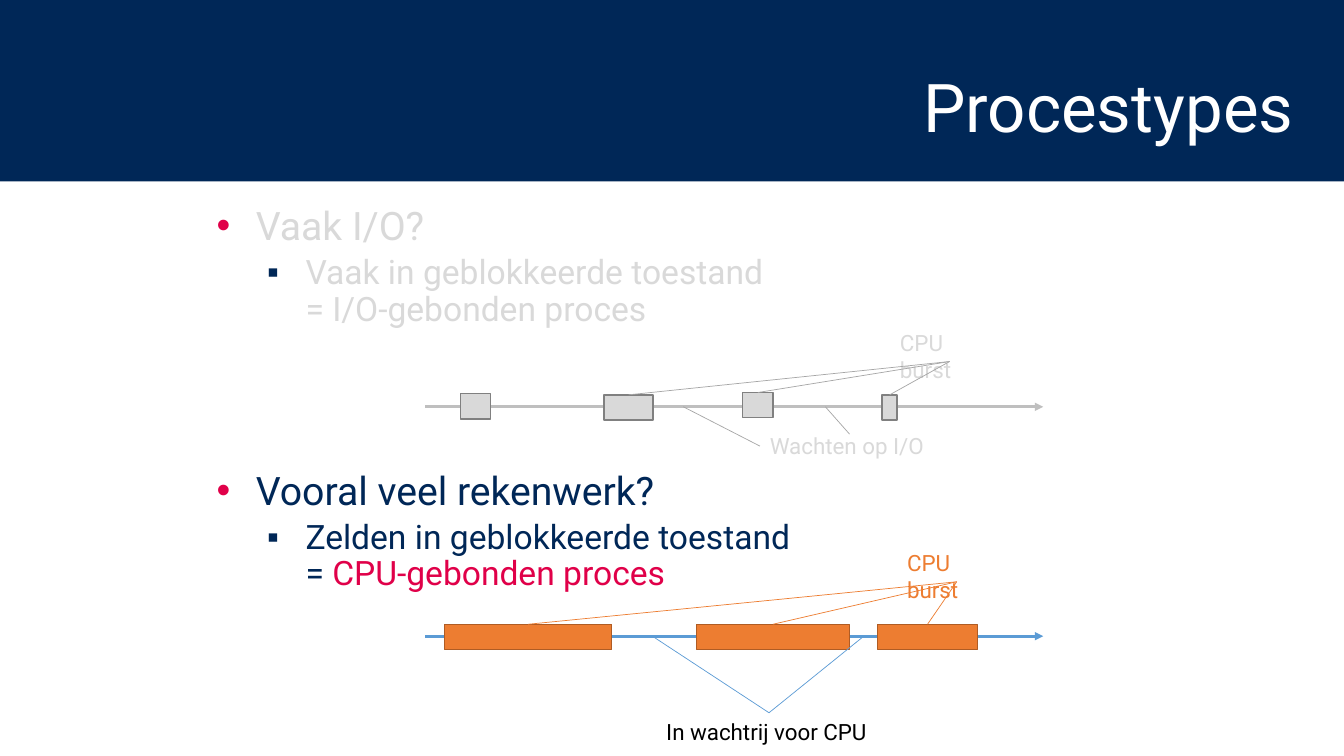
from lxml import etree
from pptx import Presentation
from pptx.dml.color import RGBColor
from pptx.enum import shapes, text
from pptx.oxml import ns
from pptx.util import Cm, Pt

FONT = "Roboto"
HUES = {
    "navy": "002757", "white": "FFFFFF", "pink": "E00049", "black": "000000",
    "pale": "D9D9D9", "axis": "BFBFBF", "edge": "808080", "thin": "A6A6A6",
    "orange": "ED7D31", "rust": "AF5C24", "blue": "5B9BD5",
}
FADED = {"axis": "axis", "bar": "pale", "edge": "edge", "burst": "pale",
         "ray": "thin", "wait": "pale", "link": "thin"}
VIVID = {"axis": "blue", "bar": "orange", "edge": "rust", "burst": "orange",
         "ray": "orange", "wait": "black", "link": "blue"}


def hue(name):
    return RGBColor.from_string(HUES[name])


def add_sub(parent, tag, **attrs):
    return etree.SubElement(parent, ns.qn(tag), attrs)


def add_bullet(para, mark, color, left, hang):
    props = para._p.get_or_add_pPr()
    props.set("marL", str(Cm(left)))
    props.set("indent", str(-Cm(hang)))
    add_sub(add_sub(props, "a:buClr"), "a:srgbClr", val=HUES[color])
    add_sub(props, "a:buFont", typeface="Arial")
    add_sub(props, "a:buChar", char=mark)


def write(para, words, size=16, color="black", align=None, spacing=None, before=None):
    """Add words to a paragraph; each newline becomes a line break."""
    if align is not None:
        para.alignment = align
    if spacing is not None:
        para.line_spacing = spacing
    if before is not None:
        para.space_before = Pt(before)
    for i, line in enumerate(words.split("\n")):
        if i:
            para.add_line_break()
        if line:
            run = para.add_run()
            run.text = line
            run.font.name, run.font.size = FONT, Pt(size)
            run.font.color.rgb = hue(color)


def add_frame(slide, box, wrap=True):
    frame = slide.shapes.add_textbox(*map(Cm, box)).text_frame
    frame.word_wrap = wrap
    return frame


def add_rect(slide, box, fill, edge=None):
    rect = slide.shapes.add_shape(shapes.MSO_SHAPE.RECTANGLE, *map(Cm, box))
    rect.shadow.inherit = False
    rect.fill.solid()
    rect.fill.fore_color.rgb = hue(fill)
    if edge:
        rect.line.color.rgb = hue(edge)
        rect.line.width = Pt(1)
    else:
        rect.line.fill.background()


def add_line(slide, start, end, color, width=0.5, arrow=False):
    line = slide.shapes.add_connector(
        shapes.MSO_CONNECTOR.STRAIGHT, *map(Cm, (*start, *end)))
    line.line.color.rgb = hue(color)
    line.line.width = Pt(width)
    if arrow:
        add_sub(line.line._get_or_add_ln(), "a:tailEnd", type="triangle")
    add_sub(line._element.spPr, "a:effectLst")


def add_header(slide, box, title):
    left, top, width, height = box
    add_rect(slide, box, "navy")
    frame = add_frame(slide, (left + 5.21, top + 1.02, width - 6.23, height - 1.02))
    frame.vertical_anchor = text.MSO_ANCHOR.MIDDLE
    write(frame.paragraphs[0], title, size=48, color="white",
          align=text.PP_ALIGN.RIGHT, spacing=0.9)


def add_topic(slide, box, head, parts, color):
    """Bulleted question with an answer made of (words, colour) parts."""
    frame = add_frame(slide, box)
    para = frame.paragraphs[0]
    add_bullet(para, "•", "pink", 0.99, 0.99)
    write(para, head, size=28, color=color, spacing=0.9)
    para = frame.add_paragraph()
    add_bullet(para, "▪", "navy", 2.24, 0.97)
    for words, tone in parts:
        write(para, words, size=24, color=tone, spacing=0.9, before=5)


def add_timeline(slide, box, look, bars, marked, burst, links, wait, note):
    """Process axis from the box's top left; inner places are relative to it."""
    left, top, width, high = box

    def at(x, y):
        return left + x, top + y

    add_line(slide, at(0, 0), at(width, 0), look["axis"], 2, arrow=True)
    for x, y, wide in bars:
        add_rect(slide, (*at(x, y), wide, high), look["bar"], look["edge"])

    frame = add_frame(slide, (*at(*burst), 3, 0.94))
    frame.margin_right = Cm(0.9)
    write(frame.paragraphs[0], "CPU burst", color=look["burst"])
    tip = at(burst[0] + 1.5, burst[1] + 0.94)
    for x, y, wide in bars[-marked:]:
        add_line(slide, at(x + wide / 2, y), tip, look["ray"])

    x, y, wide = wait
    frame = add_frame(slide, (*at(x, y), wide, 0.94), wrap=False)
    write(frame.paragraphs[0], note, color=look["wait"])
    for start, end in links:
        add_line(slide, at(start, 0), at(*end), look["link"])


def main():
    deck = Presentation()
    deck.slide_width, deck.slide_height = Cm(33.87), Cm(19.05)
    slide = deck.slides.add_slide(deck.slide_layouts[6])

    add_header(slide, (0, 0, 33.87, 4.57), "Procestypes")
    add_topic(slide, (5.21, 5.08, 27.64, 3.4), "Vaak I/O?",
              [("Vaak in geblokkeerde toestand\n= I/O-gebonden proces", "pale")], "pale")
    add_topic(slide, (5.21, 11.75, 27.64, 3.4), "Vooral veel rekenwerk?",
              [("Zelden in geblokkeerde toestand\n= ", "navy"),
               ("CPU-gebonden proces", "pink")], "navy")

    add_timeline(
        slide, (10.72, 10.25, 15.57, 0.64), FADED,
        bars=[(0.89, -0.33, 0.76), (4.5, -0.3, 1.24),
              (8, -0.36, 0.76), (11.51, -0.3, 0.38)],
        marked=3, burst=(11.71, -2.08),
        links=[(6.5, (8.43, 0.99)), (10.08, (10.69, 0.69))],
        wait=(8.43, 0.51, 4.5), note="Wachten op I/O")
    add_timeline(
        slide, (10.72, 16.03, 15.57, 0.64), VIVID,
        bars=[(0.48, -0.3, 4.22), (6.83, -0.3, 3.86), (11.4, -0.3, 2.51)],
        marked=3, burst=(11.89, -2.31),
        links=[(5.72, (8.66, 1.93)), (11.05, (8.66, 1.93))],
        wait=(5.82, 1.93, 5.69), note="In wachtrij voor CPU")
    deck.save("out.pptx")


if __name__ == "__main__":
    main()
